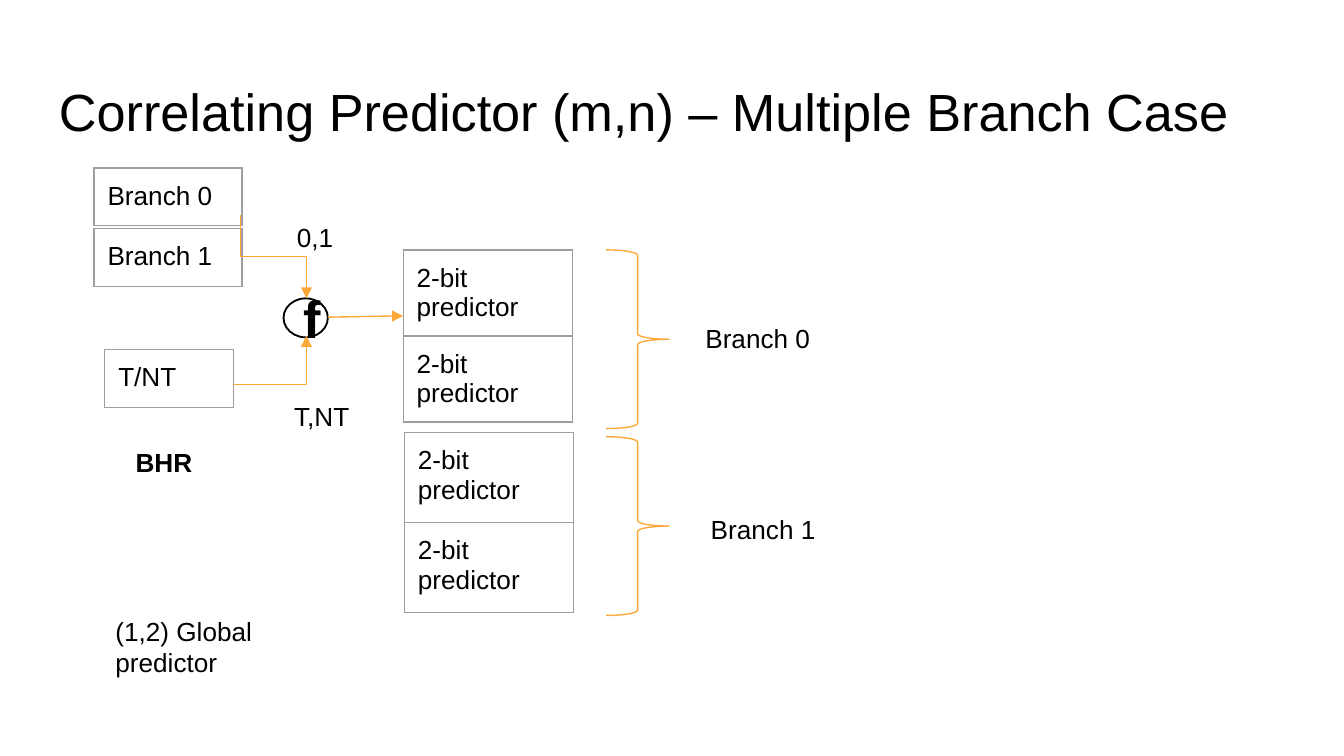
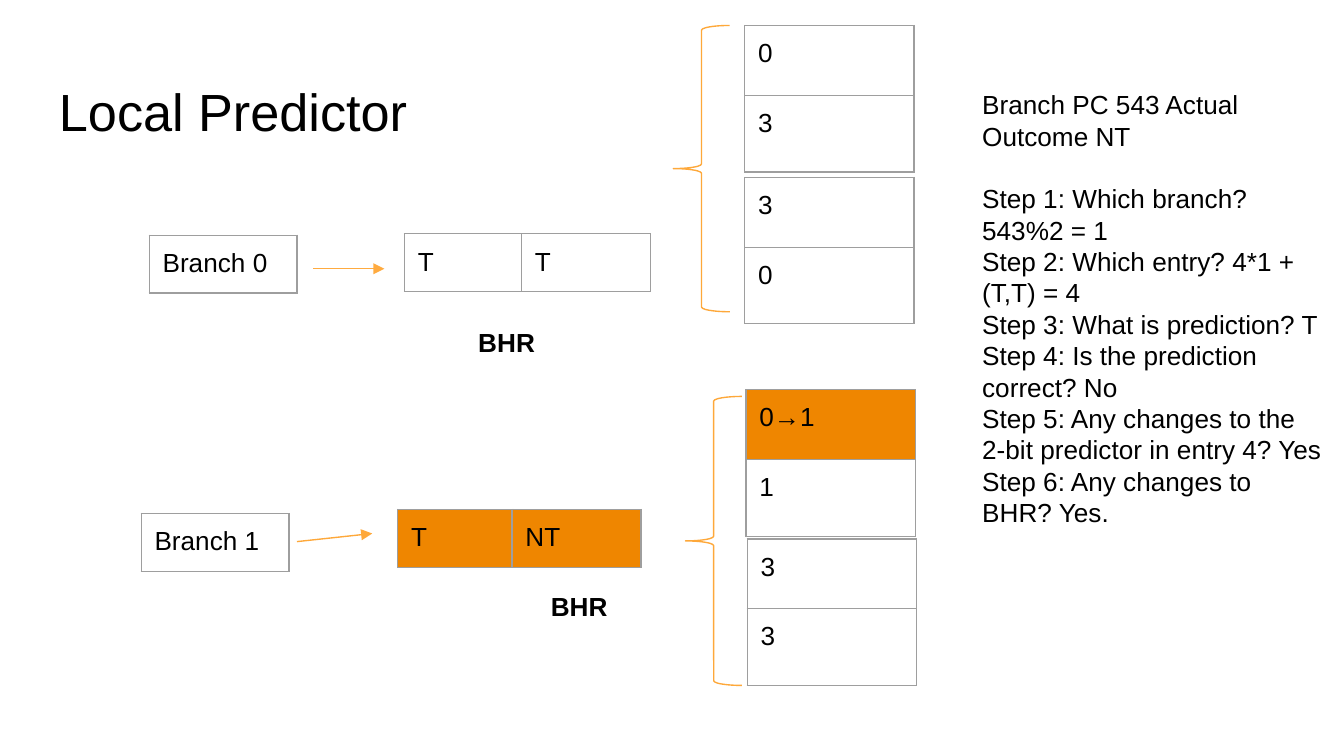
from lxml import etree
from pptx import Presentation
from pptx.dml.color import RGBColor
from pptx.enum.shapes import MSO_CONNECTOR as LINK, MSO_SHAPE as SHAPE
from pptx.enum.text import MSO_ANCHOR as ANCHOR, MSO_AUTO_SIZE as AUTO, PP_ALIGN as ALIGN
from pptx.oxml.ns import qn
from pptx.util import Inches, Pt

COLORS = {
    "text": "000000",
    "paper": "FFFFFF",
    "border": "9E9E9E",
    "accent": "FEA83A",
    "arrow": "FFAB40",
    "changed": "EF8600",
}
LINE_WIDTH = 0.75
LEADING = 1.2
BODY, TITLE = 14, 28


def color(name):
    return RGBColor.from_string(COLORS[name])


def assign(target, values):
    for name, value in values.items():
        setattr(target, name, value)


def solid_line(parent, tag, name, index):
    """Insert a solid outline element of the standard width."""
    line = etree.Element(qn(tag), w=str(Pt(LINE_WIDTH)))
    fill = etree.SubElement(line, qn("a:solidFill"))
    etree.SubElement(fill, qn("a:srgbClr"), val=COLORS[name])
    parent.insert(index, line)


class Deck:
    def __init__(self):
        self.presentation = Presentation()
        assign(self.presentation, {"slide_width": Inches(10), "slide_height": Inches(5.625)})
        self.slide = None

    def add_slide(self, title):
        self.slide = self.presentation.slides.add_slide(self.presentation.slide_layouts[6])
        self.text(title, 0.34, 0.49, 9.32, 0.63, size=TITLE, inset=0.1)

    def styled_run(self, paragraph, text, size=BODY, bold=False):
        run = paragraph.add_run()
        run.text = text
        assign(run.font, {"name": "Arial", "size": Pt(size), "bold": bold})
        run.font.color.rgb = color("text")
        return run

    def text(self, text, left, top, width, height, size=BODY, bold=False, inset=0.05, gap=0):
        """Text box; the gap in points follows its first paragraph."""
        box = self.slide.shapes.add_textbox(*map(Inches, (left, top, width, height)))
        frame = box.text_frame
        assign(frame, {
            "word_wrap": True,
            "auto_size": AUTO.NONE,
            "margin_left": Inches(0.1), "margin_right": Inches(0.1),
            "margin_top": Inches(inset), "margin_bottom": Inches(inset),
        })
        for index, line in enumerate(text.split("\n")):
            paragraph = frame.add_paragraph() if index else frame.paragraphs[0]
            paragraph.line_spacing = Pt(size * LEADING)
            if index == 1:
                paragraph.space_before = Pt(gap)
            self.styled_run(paragraph, line, size, bold)

    def heading(self, text, left, top):
        self.text(text, left, top, 0.71, 0.63, bold=True, inset=0.1)

    def table(self, left, top, width, rows, heights=(0.43,), fills=()):
        """One-column table; fills names the fill of its first rows."""
        frame = self.slide.shapes.add_table(
            len(rows), 1, *map(Inches, (left, top, width, sum(heights))))
        table = frame.table
        assign(table, {"first_row": False, "horz_banding": False})
        for index, (text, height) in enumerate(zip(rows, heights)):
            table.rows[index].height = Inches(height)
            cell = table.cell(index, 0)
            assign(cell, {f"margin_{side}": Inches(0.1)
                          for side in ("left", "right", "top", "bottom")})
            if index < len(fills):
                cell.fill.solid()
                cell.fill.fore_color.rgb = color(fills[index])
            else:
                cell.fill.background()
            properties = cell._tc.get_or_add_tcPr()
            for position, tag in enumerate(("a:lnL", "a:lnR", "a:lnT", "a:lnB")):
                solid_line(properties, tag, "border", position)
            self.styled_run(cell.text_frame.paragraphs[0], text)

    def shape(self, kind, left, top, width, height, line="accent", line_width=LINE_WIDTH, fill=None):
        shape = self.slide.shapes.add_shape(kind, *map(Inches, (left, top, width, height)))
        shape.shadow.inherit = False
        if fill:
            shape.fill.solid()
            shape.fill.fore_color.rgb = color(fill)
        else:
            shape.fill.background()
        shape.line.color.rgb = color(line)
        shape.line.width = Pt(line_width)
        return shape

    def function_node(self, text, left, top, width, height):
        node = self.shape(SHAPE.FLOWCHART_CONNECTOR, left, top, width, height, "text", 1, "paper")
        node.text_frame.vertical_anchor = ANCHOR.MIDDLE
        paragraph = node.text_frame.paragraphs[0]
        assign(paragraph, {"alignment": ALIGN.CENTER, "line_spacing": Pt(TITLE * LEADING)})
        run = self.styled_run(paragraph, text, TITLE, True)
        solid_line(run._r.get_or_add_rPr(), "a:ln", "paper", 0)

    def arrow(self, start, end, kind=LINK.STRAIGHT, line="accent"):
        connector = self.slide.shapes.add_connector(kind, *map(Inches, (*start, *end)))
        connector.line.color.rgb = color(line)
        connector.line.width = Pt(LINE_WIDTH)
        properties = connector._element.spPr
        etree.SubElement(properties.find(qn("a:ln")), qn("a:tailEnd"), type="triangle")
        etree.SubElement(properties, qn("a:effectLst"))
        return connector

    def corner_arrow(self, start, end):
        """Arrow with one bend: across, then up or down."""
        connector = self.arrow(start, end, LINK.ELBOW)
        connector._element.spPr.find(qn("a:prstGeom")).set("prst", "bentConnector2")

    def step_arrow(self, start, end):
        """Arrow that runs down, across and down again."""
        connector = self.arrow(start, end, LINK.ELBOW)
        (x1, y1), (x2, y2) = start, end
        width, height = y2 - y1, x2 - x1
        assign(connector, {
            "left": Inches((x1 + x2 - width) / 2), "top": Inches((y1 + y2 - height) / 2),
            "width": Inches(width), "height": Inches(height),
        })
        transform = connector._element.spPr.find(qn("a:xfrm"))
        transform.set("rot", str(270 * 60000))
        transform.set("flipH", "1")


def multiple_branch_slide(deck):
    deck.add_slide("Correlating Predictor (m,n) – Multiple Branch Case")

    # Inputs: branch selection and history register
    deck.table(0.78, 2.6, 0.96, ["T/NT"])
    deck.heading("BHR", 0.91, 3.22)
    for number, top in enumerate((1.25, 1.7)):
        deck.table(0.7, top, 1.1, [f"Branch {number}"])
    deck.text("(1,2) Global predictor", 0.76, 4.53, 1.38, 0.57)

    # Predictor pairs with their branch labels
    pairs = [(3, 1.86, 0.64, 1.86, 5.15, 2.35), (3.01, 3.22, 0.67, 3.25, 5.19, 3.77)]
    for number, (left, top, row, brace_top, label_left, label_top) in enumerate(pairs):
        deck.table(left, top, 1.26, ["2-bit predictor"] * 2, (row, row))
        deck.shape(SHAPE.RIGHT_BRACE, 4.51, brace_top, 0.47, 1.33)
        deck.text(f"Branch {number}", label_left, label_top, 1.36, 0.34)

    # Index function and its arrows
    deck.function_node("f", 2.11, 2.22, 0.33, 0.29)
    deck.step_arrow((1.79, 1.6), (2.28, 2.22))
    deck.corner_arrow((1.73, 2.86), (2.28, 2.5))
    deck.arrow((2.44, 2.36), (3, 2.35))
    deck.text("0,1", 2.11, 1.6, 0.72, 0.34)
    deck.text("T,NT", 2.09, 2.93, 0.72, 0.34)


def local_predictor_slide(deck):
    deck.add_slide("Local Predictor")

    # Branches
    for number, (left, top) in enumerate([(1.11, 1.75), (1.05, 3.82)]):
        deck.table(left, top, 1.1, [f"Branch {number}"])
    deck.arrow((2.33, 2), (2.86, 2), line="arrow")
    deck.arrow((2.21, 4.03), (2.77, 3.97))

    # History registers
    registers = [
        (3.01, 1.74, 0.87, "T", ()),
        (3.88, 1.74, 0.96, "T", ()),
        (2.96, 3.79, 0.86, "T", ("changed",)),
        (3.81, 3.79, 0.96, "NT", ("changed",)),
    ]
    for left, top, width, outcome, fills in registers:
        deck.table(left, top, width, [outcome], fills=fills)
    deck.heading("BHR", 3.46, 2.33)
    deck.heading("BHR", 4, 4.29)

    # Predictor entries
    entries = [
        (5.54, 0.19, "03", ("paper",)),
        (5.54, 1.32, "30", ()),
        (5.55, 2.9, ["0→1", "1"], ("changed",)),
        (5.56, 4.01, "33", ()),
    ]
    for left, top, counters, fills in entries:
        deck.table(left, top, 1.26, counters, (0.52, 0.57), fills)
    deck.shape(SHAPE.LEFT_BRACE, 5.01, 0.19, 0.42, 2.13)
    deck.shape(SHAPE.LEFT_BRACE, 5.1, 2.95, 0.42, 2.15)

    # Worked example
    steps = [
        "Branch PC 543 Actual Outcome NT",
        "Step 1: Which branch? 543%2 = 1",
        "Step 2: Which entry? 4*1 + (T,T) = 4",
        "Step 3: What is prediction? T",
        "Step 4: Is the prediction correct? No",
        "Step 5: Any changes to the 2-bit predictor in entry 4? Yes",
        "Step 6: Any changes to BHR? Yes.",
    ]
    deck.text("\n".join(steps), 7.21, 0.61, 2.74, 3.4, gap=BODY * LEADING)


def main():
    deck = Deck()
    multiple_branch_slide(deck)
    local_predictor_slide(deck)
    deck.presentation.save("out.pptx")


if __name__ == "__main__":
    main()
